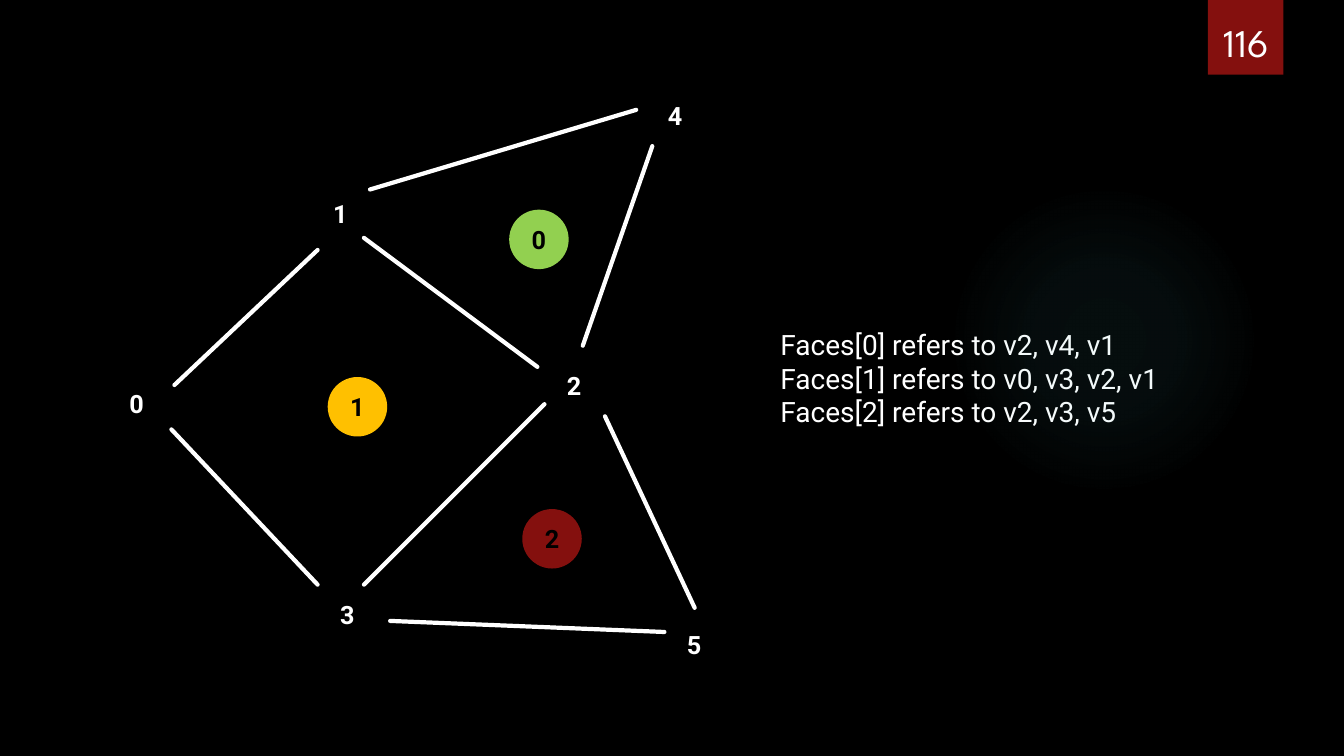
from lxml.etree import SubElement
from pptx import Presentation
from pptx.dml.color import RGBColor
from pptx.enum.shapes import MSO_CONNECTOR, MSO_SHAPE
from pptx.enum.text import MSO_ANCHOR, PP_ALIGN
from pptx.oxml import parse_xml
from pptx.oxml.ns import nsdecls, qn
from pptx.util import Emu, Pt

PX = 9144  # one px is a hundredth of an inch
COLOURS = {"black": "000000", "white": "FFFFFF", "red": "84100E",
           "amber": "FFC000", "green": "92D050", "glow": "50B9C1"}
DISC = 59


def rgb(name):
    return RGBColor.from_string(COLOURS[name])


class MeshSlide:
    font = "Roboto"

    def __init__(self, deck):
        self.slide = deck.slides.add_slide(deck.slide_layouts[1])
        title = self.slide.shapes.title
        title.element.getparent().remove(title.element)
        background = self.slide.background.fill
        background.solid()
        background.fore_color.rgb = rgb("black")

    def style(self, paragraph, size, colour, bold=False, font=None):
        for run in paragraph.runs:
            run.font.name = font or self.font
            run.font.size = Pt(size)
            run.font.bold = bold
            run.font.color.rgb = rgb(colour)

    def shape(self, kind, box, fill):
        item = self.slide.shapes.add_shape(kind, *(Emu(v * PX) for v in box))
        item.shadow.inherit = False
        item.line.fill.background()
        item.fill.solid()
        item.fill.fore_color.rgb = rgb(fill)
        return item

    def glow(self, box, stops):
        halo = self.shape(MSO_SHAPE.OVAL, box, "glow")
        stop_xml = "".join(
            f'<a:gs pos="{position * 1000}"><a:srgbClr val="{COLOURS["glow"]}">'
            f'<a:alpha val="{alpha * 1000}"/></a:srgbClr></a:gs>'
            for position, alpha in stops)
        gradient = parse_xml(
            f'<a:gradFill {nsdecls("a")}><a:gsLst>{stop_xml}</a:gsLst>'
            '<a:path path="circle"><a:fillToRect l="50000" t="50000" '
            'r="50000" b="50000"/></a:path></a:gradFill>')
        properties = halo.element.spPr
        properties.replace(properties.find(qn("a:solidFill")), gradient)

    def disc(self, label, left, top, fill, colour):
        disc = self.shape(MSO_SHAPE.OVAL, (left, top, DISC, DISC), fill)
        frame = disc.text_frame
        frame.text = label
        frame.vertical_anchor = MSO_ANCHOR.MIDDLE
        frame.paragraphs[0].alignment = PP_ALIGN.CENTER
        self.style(frame.paragraphs[0], 18, colour, bold=True)

    def edge(self, *ends):
        edge = self.slide.shapes.add_connector(
            MSO_CONNECTOR.STRAIGHT, *(Emu(v * PX) for v in ends))
        edge.line.color.rgb = rgb("white")
        edge.line.width = Pt(3)
        edge.line._get_or_add_ln().set("cap", "rnd")
        SubElement(edge._element.spPr, qn("a:effectLst"))

    def page_number(self, text, box):
        number = self.slide.shapes.add_textbox(*(Emu(v * PX) for v in box))
        frame = number.text_frame
        frame.word_wrap = True
        frame.vertical_anchor = MSO_ANCHOR.BOTTOM
        frame.text = text
        frame.paragraphs[0].alignment = PP_ALIGN.CENTER
        self.style(frame.paragraphs[0], 28, "white", font="League Spartan")

    def body(self, lines, box):
        body = self.slide.placeholders[1]
        body.left, body.top, body.width, body.height = (Emu(v * PX) for v in box)
        frame = body.text_frame
        frame.text = "\n".join(lines)
        frame.vertical_anchor = MSO_ANCHOR.TOP
        for paragraph in frame.paragraphs:
            properties = paragraph._p.get_or_add_pPr()
            properties.set("marL", "0")
            properties.set("indent", "0")
            SubElement(properties, qn("a:buNone"))
            paragraph.space_before = Pt(0)
            self.style(paragraph, 20, "white")


def main():
    deck = Presentation()
    deck.slide_width, deck.slide_height = Emu(1333 * PX), Emu(750 * PX)
    mesh = MeshSlide(deck)

    # Backdrop and page number
    mesh.glow((941, 183, 308, 308), [(0, 7), (36, 6), (69, 0)])
    mesh.shape(MSO_SHAPE.RECTANGLE, (1198, 0, 75, 74), "red")
    mesh.page_number("116", (1190, -14, 92, 84))

    # Vertices, in index order
    vertices = [(106, 371), (308, 182), (540, 353),
                (315, 580), (640, 85), (659, 610)]
    for index, (left, top) in enumerate(vertices):
        mesh.disc(str(index), left, top, "black", "white")

    # Edges
    edges = [(361, 580, 540, 401), (387, 616, 659, 627),
             (600, 413, 689, 603), (533, 364, 361, 236),
             (315, 248, 173, 382), (170, 426, 315, 580),
             (578, 343, 647, 145), (367, 188, 631, 109)]
    for ends in edges:
        mesh.edge(*ends)

    # Faces, in index order
    faces = [(505, 208, "green", "v2, v4, v1"),
             (325, 374, "amber", "v0, v3, v2, v1"),
             (518, 505, "red", "v2, v3, v5")]
    for index, (left, top, fill, _) in enumerate(faces):
        mesh.disc(str(index), left, top, fill, "black")
    mesh.body([f"Faces[{index}] refers to {corners}"
               for index, (*_, corners) in enumerate(faces)],
              (764, 320, 484, 145))

    deck.save("out.pptx")


if __name__ == "__main__":
    main()
